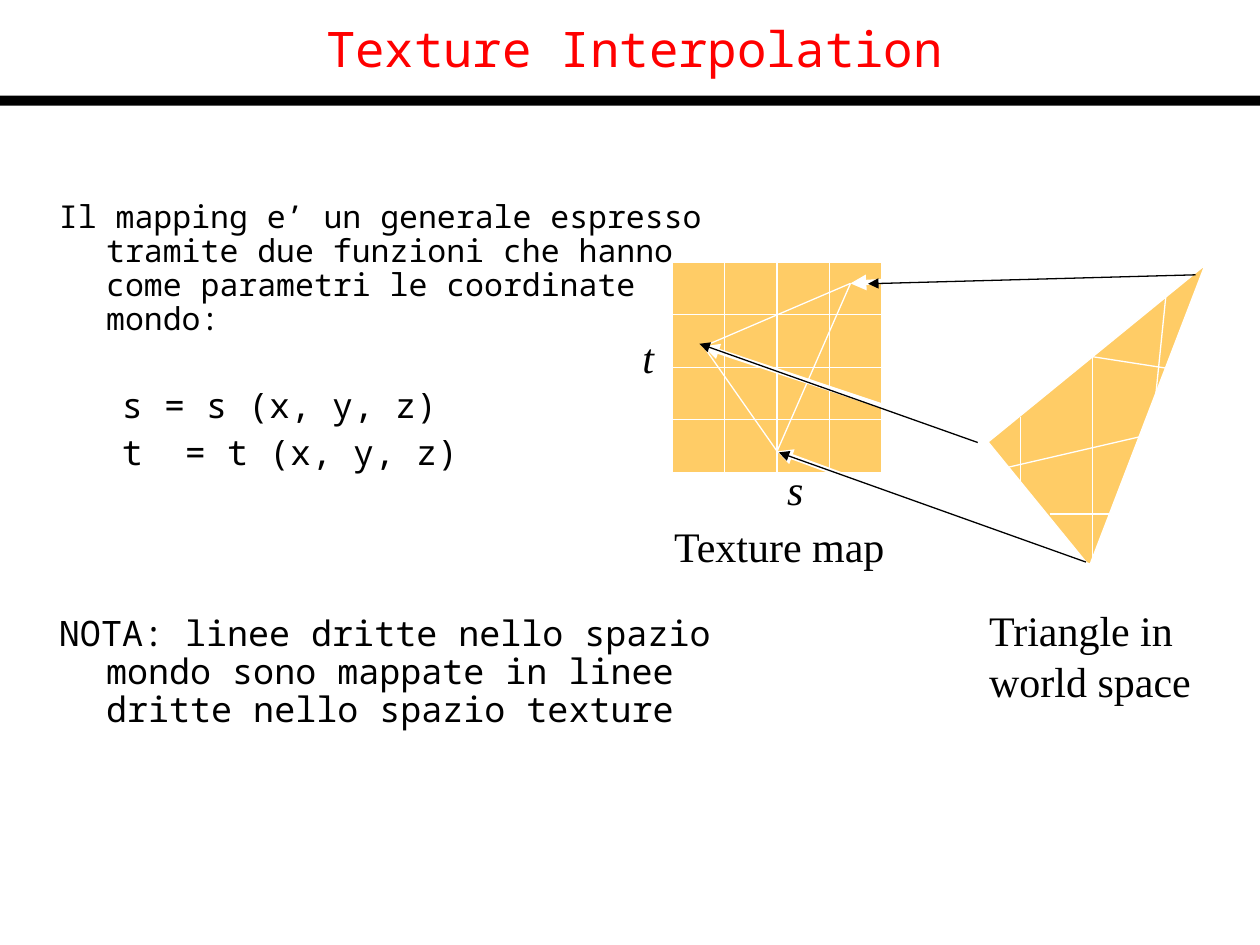
from dataclasses import dataclass

import pptx
import pptx.dml.color
import pptx.enum.shapes
import pptx.enum.text
import pptx.oxml.ns
import pptx.util
from lxml import etree

Cm = pptx.util.Cm
Pt = pptx.util.Pt
RGB = pptx.dml.color.RGBColor.from_string
MSO_SHAPE = pptx.enum.shapes.MSO_SHAPE
qn = pptx.oxml.ns.qn


@dataclass(frozen=True)
class Theme:
    black: str = "000000"
    white: str = "FFFFFF"
    red: str = "FF0000"
    texture: str = "FFCC66"
    mono: str = "Noto Sans Mono"
    serif: str = "Times New Roman"
    title: float = 28
    label: float = 24
    large: float = 20
    body: float = 18
    thin: float = 0.75
    halo: float = 3


@dataclass(frozen=True)
class Box:
    """A region in centimetres."""
    x: float
    y: float
    w: float
    h: float

    def at(self, dx, dy):
        return self.x + dx, self.y + dy


T = Theme()


def set_font(p, name, size, color, italic=None):
    p.font.name = name
    p.font.size = Pt(size)
    p.font.italic = italic
    p.font.color.rgb = RGB(color)


def add_filled(slide, kind, box, fill, line=None):
    sp = slide.shapes.add_shape(kind, Cm(box.x), Cm(box.y), Cm(box.w), Cm(box.h))
    sp.shadow.inherit = False
    sp.fill.solid()
    sp.fill.fore_color.rgb = RGB(fill)
    if line:
        sp.line.color.rgb = RGB(line)
        sp.line.width = Pt(T.thin)
    else:
        sp.line.fill.background()
    return sp


def add_line(slide, start, end, color=T.white, width=T.thin, arrow=False):
    ends = [Cm(v) for v in (*start, *end)]
    line = slide.shapes.add_connector(pptx.enum.shapes.MSO_CONNECTOR.STRAIGHT, *ends)
    line.line.color.rgb = RGB(color)
    line.line.width = Pt(width)
    if arrow:
        etree.SubElement(line.line._get_or_add_ln(), qn("a:tailEnd"), type="triangle")
    etree.SubElement(line._element.spPr, qn("a:effectLst"))


def add_label(slide, box, text, italic=None, wrap=False):
    tb = slide.shapes.add_textbox(Cm(box.x), Cm(box.y), Cm(box.w), Cm(box.h))
    tf = tb.text_frame
    tf.word_wrap = wrap
    p = tf.paragraphs[0]
    p.text = text
    set_font(p, T.serif, T.label, T.black, italic)


def add_title(slide, box, text):
    add_filled(slide, MSO_SHAPE.RECTANGLE, Box(0, box.y + box.h, 25.4, 0.2), T.black)
    title = slide.shapes.title
    title.left, title.top = Cm(box.x), Cm(box.y)
    title.width, title.height = Cm(box.w), Cm(box.h)
    tf = title.text_frame
    tf.vertical_anchor = pptx.enum.text.MSO_ANCHOR.MIDDLE
    p = tf.paragraphs[0]
    p.text = text
    p.alignment = pptx.enum.text.PP_ALIGN.CENTER
    set_font(p, T.mono, T.title, T.red)


def add_body(slide, box):
    tb = slide.shapes.add_textbox(Cm(box.x), Cm(box.y), Cm(box.w), Cm(box.h))
    tf = tb.text_frame
    tf.word_wrap = True
    # text, size, space before, left margin and hanging indent
    rows = [
        ("Il mapping e’ un generale espresso tramite due funzioni che hanno "
         "come parametri le coordinate mondo:", T.body, 0, 0.95, 0.95),
        ("s = s (x, y, z)", T.large, 29, 2.54, 1.27),
        ("t\t= t (x, y, z)", T.large, 5, 2.54, 1.27),
        ("NOTA: linee dritte nello spazio mondo sono mappate in linee dritte "
         "nello spazio texture", T.large, 82, 0.95, 0.95),
    ]
    for i, (text, size, before, margin, hang) in enumerate(rows):
        p = tf.paragraphs[0] if i == 0 else tf.add_paragraph()
        p.text = text
        p.line_spacing = 0.9
        p.space_before = Pt(before)
        pPr = p._p.get_or_add_pPr()
        pPr.set("marL", str(Cm(margin)))
        pPr.set("indent", str(-Cm(hang)))
        set_font(p, T.mono, size, T.black)


def add_texture_map(slide, box, corners):
    add_filled(slide, MSO_SHAPE.RECTANGLE, box, T.texture, T.white)
    # Grid of four by four cells
    for i in range(1, 4):
        dx, dy = box.w * i / 4, box.h * i / 4
        add_line(slide, box.at(dx, 0), box.at(dx, box.h))
        add_line(slide, box.at(0, dy), box.at(box.w, dy))
    # Triangle in texture space
    for start, end in zip(corners, corners[1:] + corners[:1]):
        add_line(slide, start, end)
    # Axis names and caption
    add_label(slide, Box(*box.at(2.07, 3.93), 0.84, 1.27), "s", italic=True)
    add_label(slide, Box(*box.at(-0.85, 1.27), 0.74, 1.27), "t", italic=True)
    add_label(slide, Box(*box.at(-0.21, 5.08), 4.8, 1.27), "Texture map")


def add_world_triangle(slide, box):
    triangle = add_filled(slide, MSO_SHAPE.RIGHT_TRIANGLE,
                          Box(*box.at(1.61, 0.26), 3.23, 5.64), T.texture, T.white)
    triangle.rotation = 50.8
    # Distorted grid lines
    grid = [
        ((2.12, 1.89), (2.12, 6.13)),
        ((0.67, 3.11), (0.67, 4.4)),
        ((3.6, 0.69), (3.39, 2.75)),
        ((0.42, 4.12), (3.06, 3.51)),
        ((1.26, 5.06), (2.48, 5.06)),
        ((3.6, 2.12), (2.12, 1.89)),
    ]
    for start, end in grid:
        add_line(slide, box.at(*start), box.at(*end))
    add_label(slide, Box(*box.at(-0.21, 6.77), 4.88, 2.29),
              "Triangle in world space", wrap=True)


def add_mapping_arrows(slide, world, texture, corners):
    # White halo start (world), black start (world), black end (texture)
    arrows = [
        ((4.43, -0.02), (4.2, 0.24), (3.95, 0.43)),
        ((-0.01, 3.59), (-0.19, 3.62), (0.55, 1.64)),
        ((2.12, 6.13), (1.99, 6.03), (2.15, 3.83)),
    ]
    for corner, (halo, start, end) in zip(corners, arrows):
        add_line(slide, world.at(*halo), corner, width=T.halo, arrow=True)
        add_line(slide, world.at(*start), texture.at(*end), T.black, arrow=True)


def main():
    prs = pptx.Presentation()
    prs.slide_width, prs.slide_height = Cm(25.4), Cm(19.05)
    slide = prs.slides.add_slide(prs.slide_layouts[5])

    texture = Box(13.55, 5.29, 4.23, 4.23)
    world = Box(19.9, 5.3, 4.4, 6.1)
    corners = [texture.at(u * texture.w, v * texture.h)
               for u, v in ((0.85, 0.1), (0.15, 0.4), (0.5, 0.9))]

    add_title(slide, Box(0.84, 0, 23.9, 1.93), "Texture Interpolation")
    add_body(slide, Box(0.94, 3.94, 14, 11.86))
    add_texture_map(slide, texture, corners)
    add_world_triangle(slide, world)
    add_mapping_arrows(slide, world, texture, corners)
    prs.save("out.pptx")


if __name__ == "__main__":
    main()
